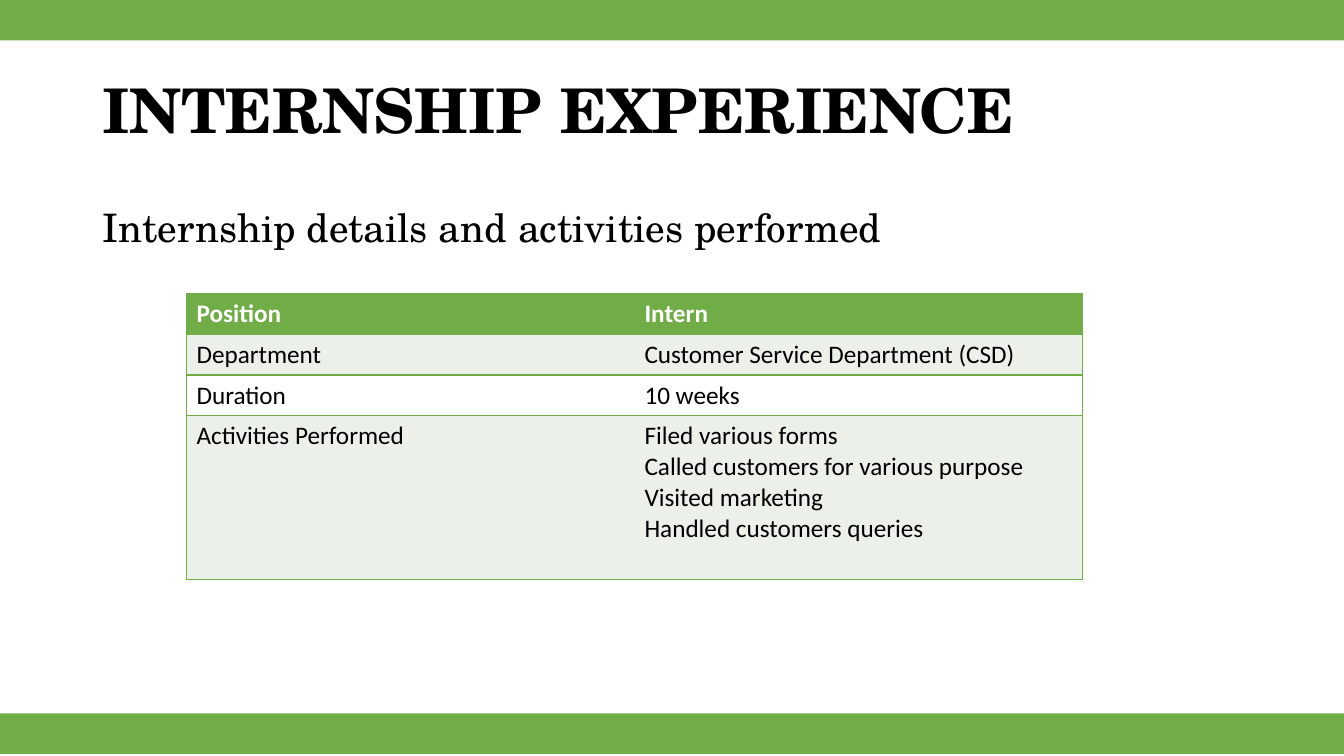
from dataclasses import dataclass

from lxml import etree
from pptx import Presentation
from pptx import util as u
from pptx.dml.color import RGBColor
from pptx.enum import shapes, text
from pptx.oxml.ns import qn


@dataclass(frozen=True)
class Theme:
    green: str = "70AD47"
    tint: str = "EBF1E9"
    white: str = "FFFFFF"
    black: str = "000000"
    serif: str = "TeX Gyre Schola"
    sans: str = "Calibri"
    title_size: int = 44
    body_size: int = 28
    table_size: int = 18


class SlideBuilder:
    """Draw styled elements on the current slide."""

    def __init__(self, prs, theme):
        self.theme = theme
        self.s = prs.slides.add_slide(prs.slide_layouts[1])

    def set_text(self, tf, lines, font, size, color, bold=False, **para):
        tf.text = "\n".join(lines)
        for p in tf.paragraphs:
            for name, value in para.items():
                setattr(p, name, value)
            for r in p.runs:
                style = {"name": font, "size": u.Pt(size), "bold": bold}
                for name, value in style.items():
                    setattr(r.font, name, value)
                r.font.color.rgb = RGBColor.from_string(color)

    def band(self, top):
        sp = self.s.shapes.add_shape(shapes.MSO_SHAPE.RECTANGLE, 0, u.Cm(top),
                                     u.Cm(33.87), u.Cm(1.02))
        sp.shadow.inherit = False
        sp.fill.solid()
        sp.fill.fore_color.rgb = RGBColor.from_string(self.theme.green)
        sp.line.fill.background()

    def placeholder(self, idx, top, height, line, size, anchor, bold=False, before=0):
        sp = self.s.placeholders[idx]
        box = {"left": 2.33, "top": top, "width": 29.21, "height": height}
        for name, value in box.items():
            setattr(sp, name, u.Cm(value))
        tf = sp.text_frame
        frame = {"word_wrap": True, "auto_size": text.MSO_AUTO_SIZE.NONE,
                 "vertical_anchor": anchor}
        for name, value in frame.items():
            setattr(tf, name, value)
        self.set_text(tf, [line], self.theme.serif, size, self.theme.black, bold,
                      alignment=text.PP_ALIGN.LEFT, line_spacing=0.9,
                      space_before=u.Pt(before))
        pPr = tf.paragraphs[0]._p.get_or_add_pPr()
        pPr.set("marL", "0")
        pPr.set("indent", "0")
        etree.SubElement(pPr, qn("a:buNone"))

    def borders(self, cell, hidden):
        tcPr = cell._tc.get_or_add_tcPr()
        for side in ("lnL", "lnR", "lnT", "lnB"):
            ln = etree.SubElement(tcPr, qn(f"a:{side}"), w=str(u.Pt(1)))
            if side == hidden:
                etree.SubElement(ln, qn("a:noFill"))
            else:
                fill = etree.SubElement(ln, qn("a:solidFill"))
                etree.SubElement(fill, qn("a:srgbClr"), val=self.theme.green)

    def table(self, left, top, col_width, heights, rows):
        t = self.theme
        tbl = self.s.shapes.add_table(len(rows), 2, u.Cm(left), u.Cm(top),
                                      u.Cm(2 * col_width), u.Cm(sum(heights))).table
        for col in tbl.columns:
            col.width = u.Cm(col_width)
        for i, (row, height) in enumerate(zip(rows, heights)):
            tbl.rows[i].height = u.Cm(height)
            header = i == 0
            fill = t.green if header else (t.white, t.tint)[i % 2]
            for j, lines in enumerate(row):
                cell = tbl.cell(i, j)
                self.borders(cell, ("lnR", "lnL")[j])
                cell.fill.solid()
                cell.fill.fore_color.rgb = RGBColor.from_string(fill)
                self.set_text(cell.text_frame, lines, t.sans, t.table_size,
                              t.white if header else t.black, header)


def main():
    prs = Presentation()
    prs.slide_width, prs.slide_height = u.Cm(33.87), u.Cm(19.05)
    theme = Theme()
    b = SlideBuilder(prs, theme)
    for top in (0, 17.98):
        b.band(top)
    b.placeholder(0, 1.02, 3.68, "INTERNSHIP EXPERIENCE", theme.title_size,
                  text.MSO_ANCHOR.MIDDLE, bold=True)
    b.placeholder(1, 5.13, 12.09, "Internship details and activities performed",
                  theme.body_size, text.MSO_ANCHOR.TOP, before=10)
    b.table(4.7, 7.39, 11.29, [1.03, 1.03, 1.03, 4.12], [
        (["Position"], ["Intern"]),
        (["Department"], ["Customer Service Department (CSD)"]),
        (["Duration"], ["10 weeks"]),
        (["Activities Performed"], ["Filed various forms",
                                    "Called customers for various purpose",
                                    "Visited marketing",
                                    "Handled customers queries"]),
    ])
    prs.save("out.pptx")


if __name__ == "__main__":
    main()
